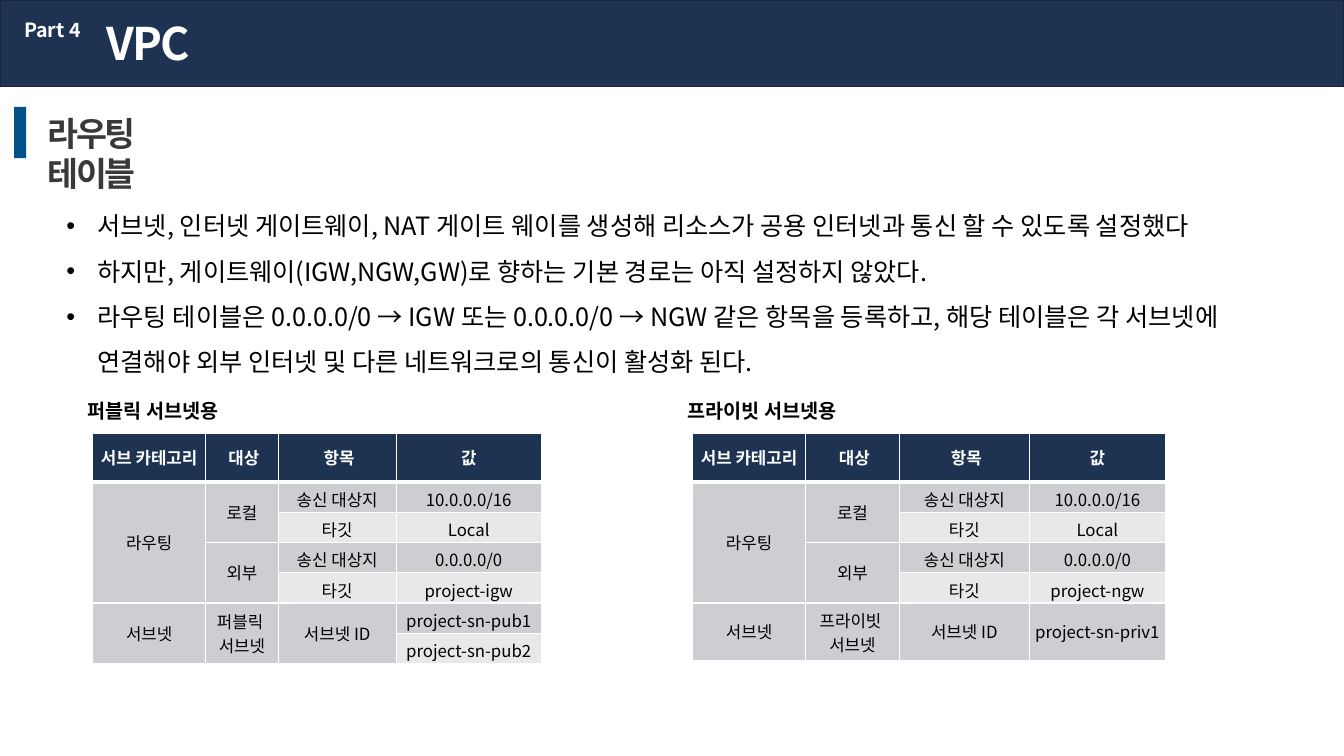
from dataclasses import dataclass
from typing import Optional

from lxml import etree
from pptx import Presentation
from pptx import util as u
from pptx.dml.color import RGBColor
from pptx.enum import shapes, text
from pptx.oxml import ns

EMU_PER_PX = 9144
FONT = "Noto Sans CJK KR"
NAVY, WHITE, BLACK = "1E3252", "FFFFFF", "000000"
BODY_BANDS = ("E8E8E9", "CDCED1")
HEADINGS = ("서브 카테고리", " 대상", " 항목", "값")


@dataclass
class Bar:
    x: int
    y: int
    w: int
    h: int
    fill: str
    outline: Optional[str] = None


@dataclass
class Label:
    x: int
    y: int
    w: int
    h: int
    words: str
    size: int
    color: str
    spacing: float = 0


@dataclass
class RouteTable:
    x: int
    columns: tuple[int, ...]
    caption: str
    gateway: str
    audience: str
    subnet_ids: tuple[str, ...]
    subnet_row: int

    def rows(self) -> list[tuple[Optional[str], ...]]:
        """Cell texts by row; None continues the cell above."""
        first, *others = self.subnet_ids
        return [
            HEADINGS,
            ("라우팅", "로컬", "송신 대상지", "10.0.0.0/16"),
            (None, None, "타깃", "Local"),
            (None, "외부", "송신 대상지", "0.0.0.0/0"),
            (None, None, "타깃", self.gateway),
            ("서브넷", f"{self.audience} \n서브넷", "서브넷 ID", first),
            *((None, None, None, other) for other in others),
        ]


BARS = (
    Bar(0, 0, 1333, 86, NAVY, "16253D"),
    Bar(14, 106, 12, 51, "005289"),
)
LABELS = (
    Label(37, 107, 188, 50, "라우팅 테이블", 24, "393939", -1.5),
    Label(96, 11, 107, 64, "VPC", 32, WHITE, -1.5),
    Label(14, 13, 83, 34, "Part 4", 14, WHITE),
)
POINTS = (
    "서브넷, 인터넷 게이트웨이, NAT 게이트 웨이를 생성해 리소스가 공용 인터넷과 통신 할 수 있도록 설정했다",
    "하지만, 게이트웨이(IGW,NGW,GW)로 향하는 기본 경로는 아직 설정하지 않았다.",
    "라우팅 테이블은 0.0.0.0/0 → IGW 또는 0.0.0.0/0 → NGW 같은 항목을 등록하고, "
    "해당 테이블은 각 서브넷에 연결해야 외부 인터넷 및 다른 네트워크로의 통신이 활성화 된다.",
)
ROUTE_TABLES = (
    RouteTable(92, (112, 72, 117, 144), "퍼블릭 서브넷용", "project-igw",
               "퍼블릭", ("project-sn-pub1", "project-sn-pub2"), 30),
    RouteTable(687, (112, 93, 129, 135), "프라이빗 서브넷용", "project-ngw",
               "프라이빗", ("project-sn-priv1",), 57),
)


def px(length: int) -> u.Emu:
    return u.Emu(length * EMU_PER_PX)


def rgb(color: str) -> RGBColor:
    return RGBColor.from_string(color)


def add_run(paragraph, words: str, size: int, color: str, bold: bool = False,
            spacing: float = 0) -> None:
    run = paragraph.add_run()
    run.text = words
    font = run.font
    font.size, font.bold, font.name = u.Pt(size), bold, FONT
    font.color.rgb = rgb(color)
    properties = run._r.get_or_add_rPr()
    etree.SubElement(properties, ns.qn("a:ea"), typeface=FONT)
    if spacing:
        properties.set("spc", str(round(spacing * 100)))


def add_frame(slide, x: int, y: int, w: int, h: int):
    frame = slide.shapes.add_textbox(px(x), px(y), px(w), px(h)).text_frame
    frame.word_wrap = True
    frame.auto_size = text.MSO_AUTO_SIZE.SHAPE_TO_FIT_TEXT
    return frame


def draw_bar(slide, bar: Bar) -> None:
    shape = slide.shapes.add_shape(shapes.MSO_SHAPE.RECTANGLE, px(bar.x),
                                   px(bar.y), px(bar.w), px(bar.h))
    shape.shadow.inherit = False
    shape.fill.solid()
    shape.fill.fore_color.rgb = rgb(bar.fill)
    if bar.outline:
        shape.line.color.rgb = rgb(bar.outline)
        shape.line.width = u.Pt(1)
    else:
        shape.line.fill.background()


def draw_label(slide, label: Label) -> None:
    frame = add_frame(slide, label.x, label.y, label.w, label.h)
    add_run(frame.paragraphs[0], label.words, label.size, label.color, True,
            label.spacing)


def draw_points(slide) -> None:
    frame = add_frame(slide, 56, 189, 1221, 187)
    for index, point in enumerate(POINTS):
        paragraph = frame.add_paragraph() if index else frame.paragraphs[0]
        paragraph.line_spacing = 1.5
        properties = paragraph._p.get_or_add_pPr()
        properties.set("marL", str(px(31)))
        properties.set("indent", str(px(-31)))
        etree.SubElement(properties, ns.qn("a:buFont"), typeface="Arial")
        etree.SubElement(properties, ns.qn("a:buChar"), char="•")
        add_run(paragraph, point, 18, BLACK)


def style_cell(cell, row: int) -> None:
    cell.vertical_anchor = text.MSO_ANCHOR.MIDDLE
    cell.margin_left = cell.margin_right = 0
    cell.margin_top = cell.margin_bottom = px(5)
    properties = cell._tc.get_or_add_tcPr()
    thick_edge = {0: "lnB", 1: "lnT"}.get(row)
    for edge in ("lnL", "lnR", "lnT", "lnB"):
        width = u.Pt(3 if edge == thick_edge else 1)
        border = etree.SubElement(properties, ns.qn(f"a:{edge}"), w=str(width))
        paint = etree.SubElement(border, ns.qn("a:solidFill"))
        etree.SubElement(paint, ns.qn("a:srgbClr"), val=WHITE)
    cell.fill.solid()
    cell.fill.fore_color.rgb = rgb(BODY_BANDS[row % 2] if row else NAVY)


def write_cell(cell, words: str, header: bool) -> None:
    paragraph = cell.text_frame.paragraphs[0]
    paragraph.alignment = text.PP_ALIGN.CENTER
    for index, line in enumerate(words.split("\n")):
        if index:
            paragraph.add_line_break()
        add_run(paragraph, line, 12, WHITE if header else BLACK, header)


def draw_route_table(slide, route: RouteTable) -> None:
    rows = route.rows()
    heights = [48] + [30] * 4 + [route.subnet_row] * len(route.subnet_ids)
    grid = slide.shapes.add_table(
        len(rows), len(HEADINGS), px(route.x), px(430),
        px(sum(route.columns)), px(sum(heights))).table
    for column, width in zip(grid.columns, route.columns):
        column.width = px(width)
    for grid_row, height in zip(grid.rows, heights):
        grid_row.height = px(height)
    for c in range(len(HEADINGS)):
        start = 0
        for r, row in enumerate(rows):
            style_cell(grid.cell(r, c), r)
            if row[c] is not None:
                start = r
                write_cell(grid.cell(r, c), row[c], r == 0)
            elif r + 1 == len(rows) or rows[r + 1][c] is not None:
                grid.cell(start, c).merge(grid.cell(r, c))
    draw_label(slide, Label(route.x - 15, 391, 237, 34, route.caption, 14, BLACK))


def main() -> None:
    deck = Presentation()
    deck.slide_width, deck.slide_height = px(1333), px(750)
    slide = deck.slides.add_slide(deck.slide_layouts[6])
    for bar in BARS:
        draw_bar(slide, bar)
    for label in LABELS:
        draw_label(slide, label)
    draw_points(slide)
    for route in ROUTE_TABLES:
        draw_route_table(slide, route)
    deck.save("out.pptx")


if __name__ == "__main__":
    main()
